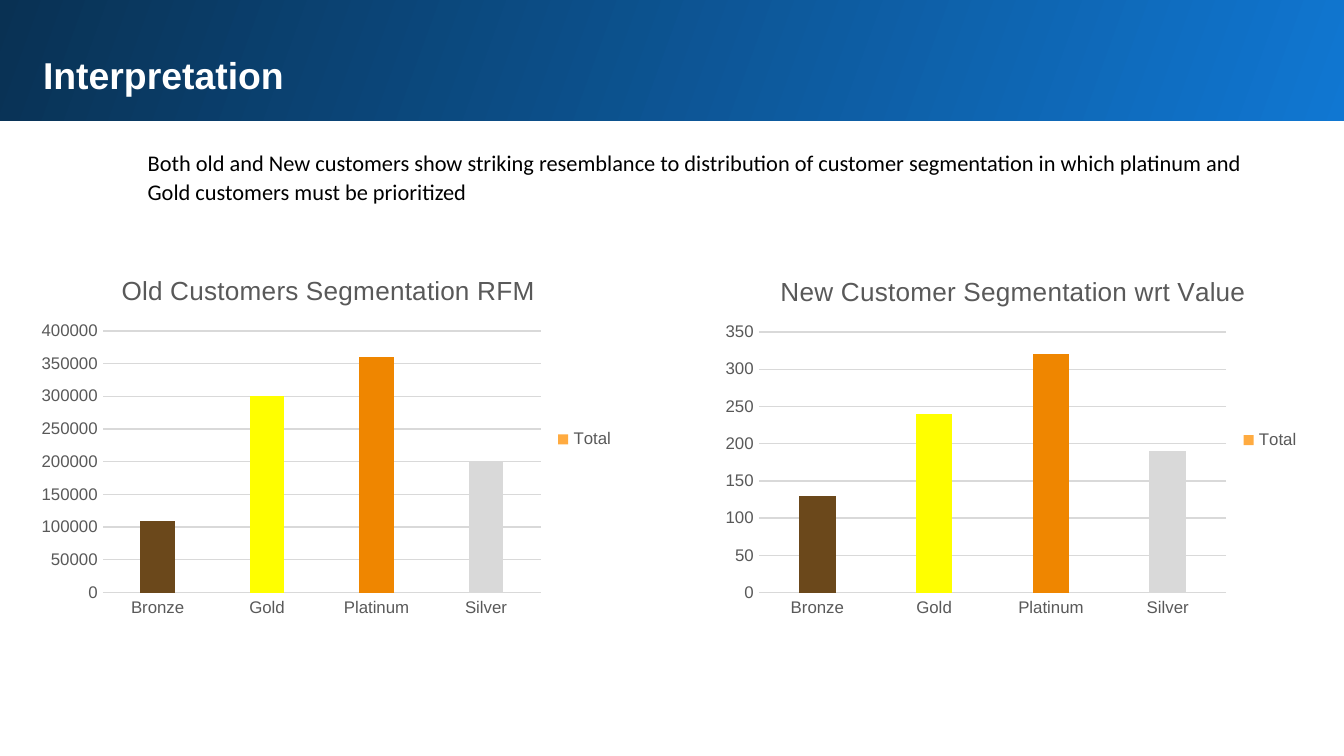
from pptx import Presentation
from pptx.chart.data import CategoryChartData
from pptx.dml.color import RGBColor
from pptx.enum.chart import XL_CHART_TYPE as ChartType, XL_LEGEND_POSITION as LegendPos
from pptx.enum.chart import XL_TICK_MARK as TickMark
from pptx.enum.shapes import MSO_SHAPE as Shape
from pptx.enum.text import MSO_ANCHOR as Anchor, PP_ALIGN as Align
from pptx.util import Inches, Pt

WHITE = RGBColor(0xFF, 0xFF, 0xFF)
BLACK = RGBColor(0, 0, 0)
BLUE = RGBColor(0x10, 0x77, 0xD2)
NAVY = RGBColor(0x09, 0x31, 0x53)
GRAY = RGBColor(0x59, 0x59, 0x59)
GRID = RGBColor(0xD9, 0xD9, 0xD9)
AMBER = RGBColor(0xFF, 0xAB, 0x40)
TIERS = {
    "Bronze": RGBColor(0x6B, 0x48, 0x1B),
    "Gold": RGBColor(0xFF, 0xFF, 0x00),
    "Platinum": RGBColor(0xEF, 0x86, 0x00),
    "Silver": GRID,
}


def set_font(font, name, size, color, bold=False):
    font.name, font.size, font.bold = name, Pt(size), bold
    font.color.rgb = color


def add_header(s, x, y, w, h, text):
    band = s.shapes.add_shape(Shape.RECTANGLE, Inches(x), Inches(y), Inches(w), Inches(h))
    band.shadow.inherit = False
    band.line.fill.background()
    band.fill.gradient()
    band.fill.gradient_angle = 160
    for stop, color, pos in zip(band.fill.gradient_stops, (BLUE, NAVY), (0, 1)):
        stop.color.rgb = color
        stop.position = pos

    title = s.shapes.title
    title.left, title.top = Inches(x + 0.24), Inches(y + 0.31)
    title.width, title.height = Inches(9.37), Inches(0.83)
    s.shapes._spTree.append(title._element)
    tf = title.text_frame
    tf.text = text
    tf.vertical_anchor = Anchor.TOP
    tf.margin_left = tf.margin_right = tf.margin_top = tf.margin_bottom = Inches(0.1)
    p = tf.paragraphs[0]
    p.alignment = Align.LEFT
    set_font(p.font, "Arial", 20, WHITE, True)


def add_summary(s, x, y, w, h, text):
    tf = s.shapes.add_textbox(Inches(x), Inches(y), Inches(w), Inches(h)).text_frame
    tf.word_wrap = True
    p = tf.paragraphs[0]
    p.text = text
    p.level = 2
    p.line_spacing = 1.07
    p.space_after = Pt(8)
    pPr = p._p.get_or_add_pPr()
    pPr.set("marL", str(Inches(1)))
    pPr.set("indent", "0")
    set_font(p.font, "Calibri", 12, BLACK)


def add_segment_chart(s, x, y, w, h, title, values, top, step):
    data = CategoryChartData()
    data.categories = list(TIERS)
    data.add_series("Total", values)
    chart = s.shapes.add_chart(ChartType.COLUMN_CLUSTERED, Inches(x), Inches(y),
                               Inches(w), Inches(h), data).chart
    set_font(chart.font, "Arial", 10, BLACK)
    chart.has_title = True
    p = chart.chart_title.text_frame.paragraphs[0]
    p.text = title
    set_font(p.font, "Arial", 14, GRAY)
    chart.has_legend = True
    chart.legend.position = LegendPos.RIGHT
    chart.legend.include_in_layout = False
    set_font(chart.legend.font, "Arial", 9, GRAY)

    for axis in (chart.category_axis, chart.value_axis):
        axis.major_tick_mark = axis.minor_tick_mark = TickMark.NONE
        set_font(axis.tick_labels.font, "Arial", 9, GRAY)
    value_axis = chart.value_axis
    value_axis.minimum_scale, value_axis.maximum_scale = 0, top
    value_axis.major_unit = step
    value_axis.format.line.fill.background()
    for line in (chart.category_axis.format.line, value_axis.major_gridlines.format.line):
        line.color.rgb = GRID
        line.width = Pt(0.75)

    plot = chart.plots[0]
    plot.vary_by_categories = False
    plot.gap_width, plot.overlap = 219, -27
    series = plot.series[0]
    series.format.fill.solid()
    series.format.fill.fore_color.rgb = AMBER
    for i, color in enumerate(TIERS.values()):
        fill = series.points[i].format.fill
        fill.solid()
        fill.fore_color.rgb = color


prs = Presentation()
prs.slide_width, prs.slide_height = Inches(10), Inches(10 * 9 / 16)
s = prs.slides.add_slide(prs.slide_layouts[5])
add_header(s, -0.02, -0.02, 10.05, 0.92, "Interpretation")
add_summary(s, 0, 1.05, 9.59, 0.52,
            "Both old and New customers show striking resemblance to distribution of customer "
            "segmentation in which platinum and Gold customers must be prioritized")
add_segment_chart(s, 0.22, 1.89, 4.45, 2.76, "Old Customers Segmentation RFM",
                  (110000, 300000, 360000, 200000), 400000, 50000)
add_segment_chart(s, 5.31, 1.9, 4.46, 2.75, "New Customer Segmentation wrt Value",
                  (130, 240, 320, 190), 350, 50)
prs.save("out.pptx")
